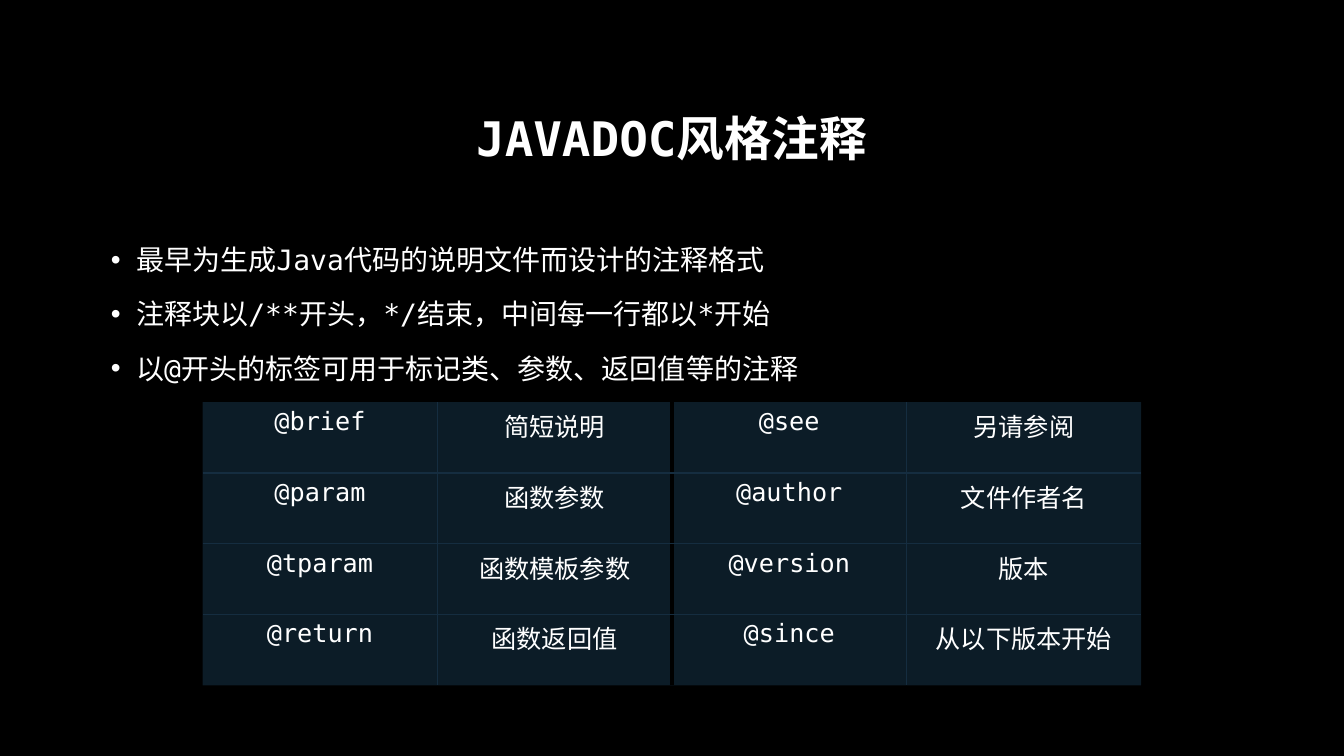
import pptx
import pptx.util
import pptx.dml.color
import pptx.enum.text
import pptx.oxml
import pptx.oxml.ns

Inches = pptx.util.Inches
Pt = pptx.util.Pt
RGBColor = pptx.dml.color.RGBColor
ALIGN = pptx.enum.text.PP_ALIGN
ANCHOR = pptx.enum.text.MSO_ANCHOR

TITLE = "JAVADOC风格注释"
POINTS = [
    "最早为生成Java代码的说明文件而设计的注释格式",
    "注释块以/**开头，*/结束，中间每一行都以*开始",
    "以@开头的标签可用于标记类、参数、返回值等的注释",
]
TAGS = [
    ("@brief", "简短说明", "@see", "另请参阅"),
    ("@param", "函数参数", "@author", "文件作者名"),
    ("@tparam", "函数模板参数", "@version", "版本"),
    ("@return", "函数返回值", "@since", "从以下版本开始"),
]
FONT = "DejaVu Sans Mono"
BLACK = RGBColor(0, 0, 0)
WHITE = RGBColor(255, 255, 255)
NAVY = RGBColor(0x15, 0x2D, 0x40)
TEAL = RGBColor(0x1F, 0x44, 0x5F)
OPAQUE = 41  # percent
ROWS, COLS = len(TAGS), len(TAGS[0])


def style(para, size, bold=False):
    for run in para.runs:
        run.font.name = FONT
        run.font.size = Pt(size)
        run.font.bold = bold
        run.font.color.rgb = WHITE


def place(shape, left, top, width, height):
    shape.left, shape.top = Inches(left), Inches(top)
    shape.width, shape.height = Inches(width), Inches(height)
    shape.text_frame.auto_size = pptx.enum.text.MSO_AUTO_SIZE.NONE


def border(side, color, width):
    """Make one cell border; a color of None leaves that side bare."""
    paint = f'<a:solidFill><a:srgbClr val="{color}"/></a:solidFill>' if color else "<a:noFill/>"
    return pptx.oxml.parse_xml(
        f'<a:ln{side} {pptx.oxml.ns.nsdecls("a")} w="{Pt(width)}">{paint}</a:ln{side}>')


def edges(row, col):
    """Give the four borders: bare outside, thin inside, thick between the halves."""
    def upright(line):
        if line in (0, COLS):
            return None, 1
        return (BLACK, 3) if line == COLS // 2 else (NAVY, 1)

    def level(line):
        return (None if line in (0, ROWS) else NAVY), 1

    return [("L", *upright(col)), ("R", *upright(col + 1)),
            ("T", *level(row)), ("B", *level(row + 1))]


def main():
    deck = pptx.Presentation()
    deck.slide_width, deck.slide_height = Inches(13.33), Inches(7.5)
    slide = deck.slides.add_slide(deck.slide_layouts[1])
    slide.background.fill.solid()
    slide.background.fill.fore_color.rgb = BLACK

    title = slide.shapes.title
    place(title, 1, 0.67, 11.32, 1.45)
    title.text_frame.text = TITLE
    title.text_frame.vertical_anchor = ANCHOR.MIDDLE
    head = title.text_frame.paragraphs[0]
    head.alignment = ALIGN.CENTER
    head.line_spacing = 0.9
    style(head, 34, True)

    body = slide.placeholders[1]
    place(body, 1, 2.29, 11.32, 4.49)
    body.text_frame.text = "\n".join(POINTS)
    for para in body.text_frame.paragraphs:
        para.line_spacing = 1.2
        para.space_before = Pt(10)
        props = para._p.get_or_add_pPr()
        props.set("marL", str(Inches(0.25)))
        props.set("indent", str(-Inches(0.25)))
        style(para, 20)

    grid = slide.shapes.add_table(
        ROWS, COLS, Inches(2.01), Inches(3.99), Inches(9.31), Inches(2.81)).table
    grid.first_row = grid.horz_banding = False
    for row, words in enumerate(TAGS):
        for col, word in enumerate(words):
            cell = grid.cell(row, col)
            cell.text_frame.text = word
            para = cell.text_frame.paragraphs[0]
            para.alignment = ALIGN.CENTER
            style(para, 18)
            cell.fill.solid()
            cell.fill.fore_color.rgb = TEAL
            props = cell._tc.get_or_add_tcPr()
            tint = props.find(".//" + pptx.oxml.ns.qn("a:srgbClr"))
            tint.append(pptx.oxml.parse_xml(
                f'<a:alpha {pptx.oxml.ns.nsdecls("a")} val="{OPAQUE * 1000}"/>'))
            for spot, edge in enumerate(edges(row, col)):
                props.insert(spot, border(*edge))

    deck.save("out.pptx")


if __name__ == "__main__":
    main()
